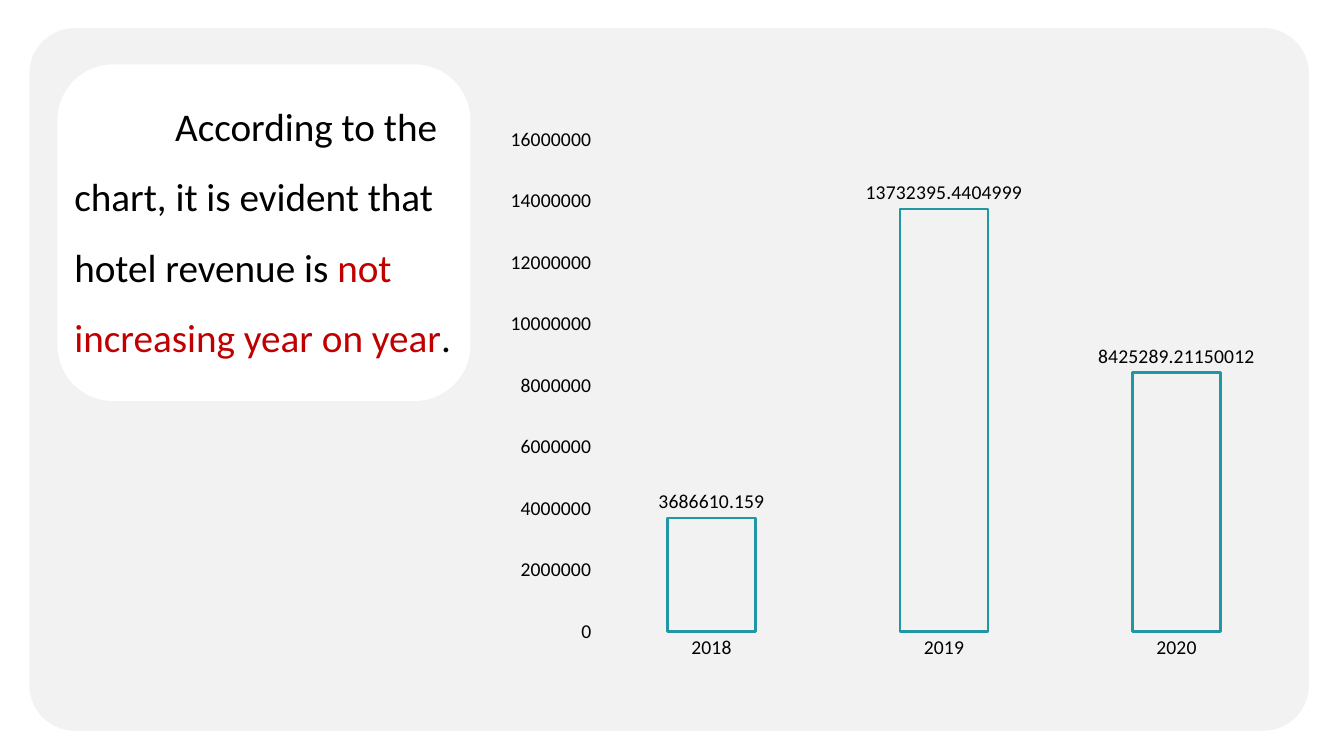
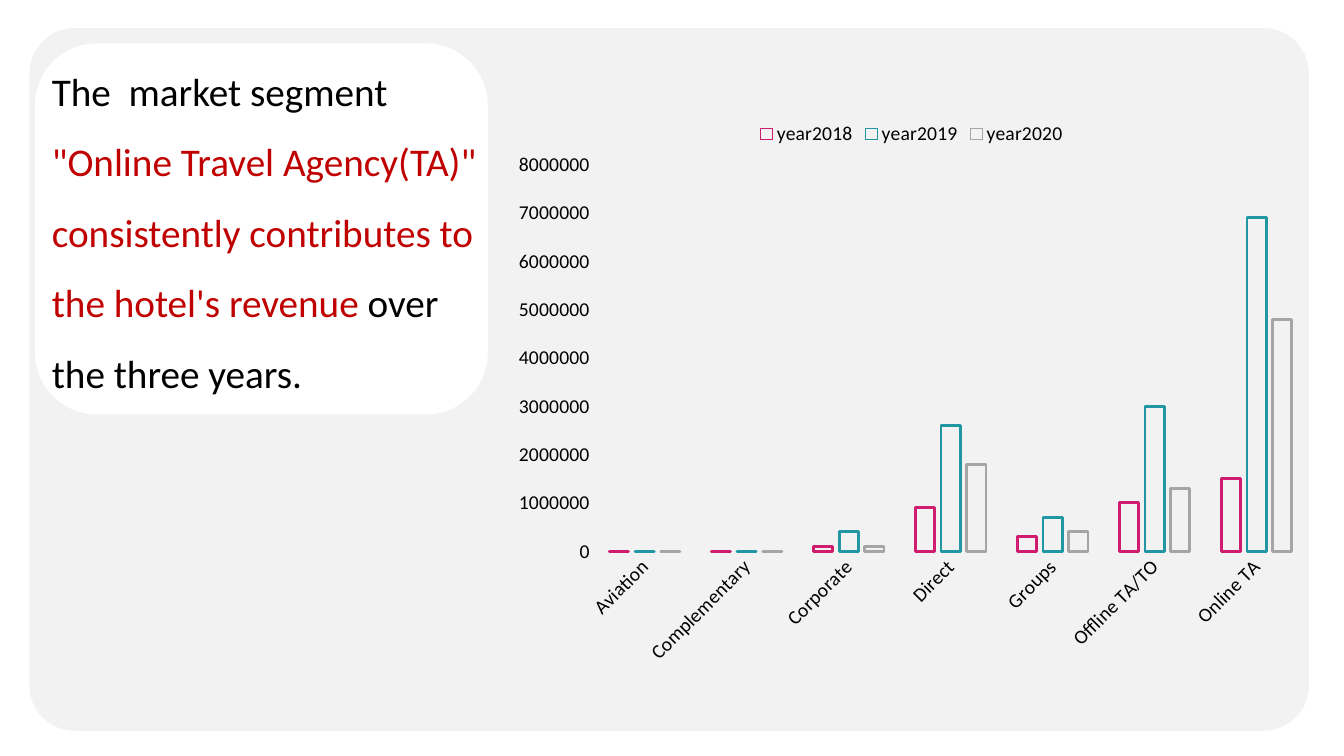
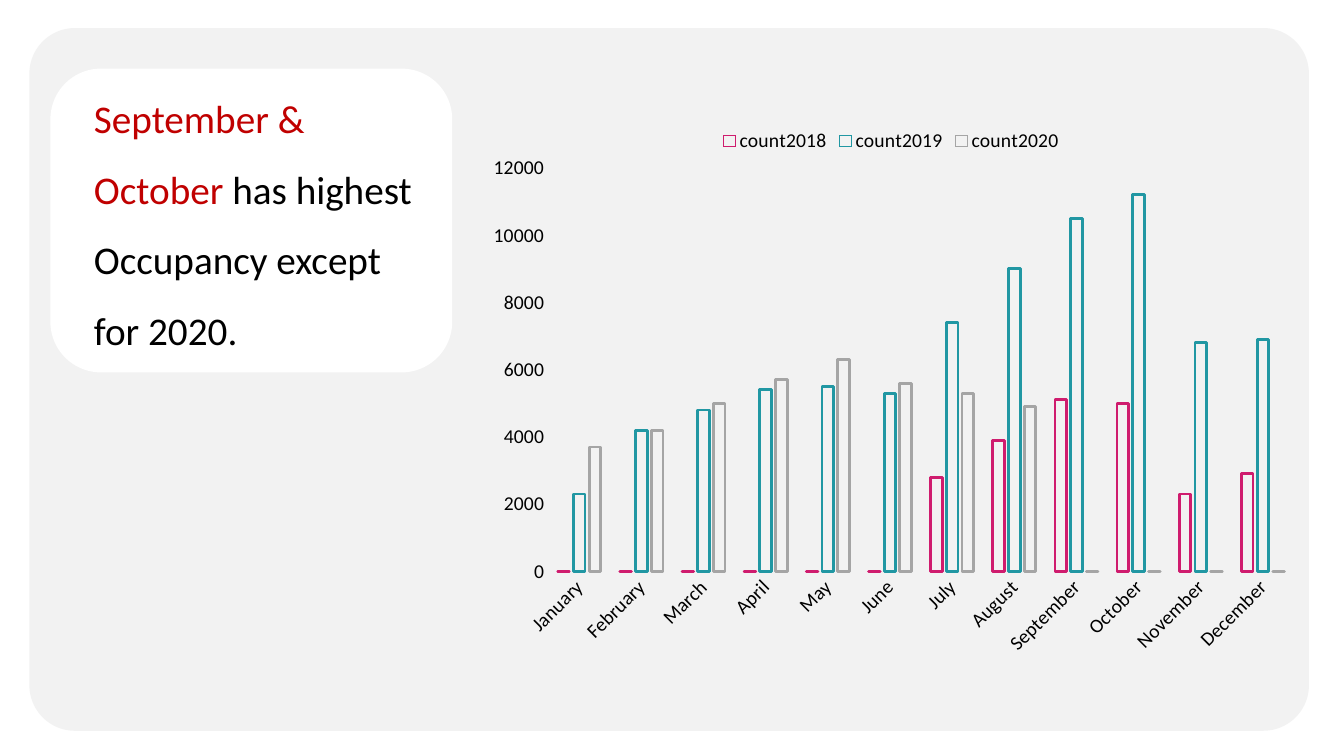
from lxml import etree
from pptx import Presentation
from pptx.chart.data import CategoryChartData
from pptx.dml.color import RGBColor
from pptx.enum.chart import XL_CHART_TYPE, XL_LABEL_POSITION, XL_LEGEND_POSITION, XL_TICK_MARK
from pptx.enum.shapes import MSO_SHAPE
from pptx.oxml.ns import qn
from pptx.util import Pt

COLUMNS = XL_CHART_TYPE.COLUMN_CLUSTERED
OUTSIDE_END = XL_LABEL_POSITION.OUTSIDE_END
LEGEND_TOP = XL_LEGEND_POSITION.TOP
NO_TICKS = XL_TICK_MARK.NONE
ROUNDED = MSO_SHAPE.ROUNDED_RECTANGLE

FONT = "Calibri"
BLACK, WHITE, PANEL, RED = "000000", "FFFFFF", "F2F2F2", "C00000"
PINK, TEAL, GREY = "CF1C6E", "2197A3", "A5A5A5"
PANEL_BOX = (21, 20, 914, 502)

MONTHS = ["January", "February", "March", "April", "May", "June", "July",
          "August", "September", "October", "November", "December"]

SLIDES = [
    {
        "card": (41, 46, 295, 240.5),
        "text": (46, 52.5, 286.5, 206),
        "indent": 72,
        "paragraphs": [[
            ("According to the chart, it is evident that hotel revenue is ", BLACK),
            ("not increasing year on year", RED),
            (".", BLACK),
        ]],
        "chart": (353, 83, 582, 396),
        "scale": (16000000, 2000000),
        "categories": ["2018", "2019", "2020"],
        "series": [("Series 1", TEAL, [3686610.159, 13732395.4404999, 8425289.21150012])],
    },
    {
        "card": (25, 31, 323.5, 265),
        "text": (30, 27.5, 323.5, 256),
        "paragraphs": [[
            ("The  market segment ", BLACK),
            ("\"Online Travel Agency(TA)\" consistently contributes to the hotel's revenue ", RED),
            ("over the three years.", BLACK),
        ]],
        "chart": (358.5, 79, 585.5, 402),
        "scale": (8000000, 1000000),
        "plot": (0.112, 0.096, 0.871, 0.687),
        "categories": ["Aviation", "Complementary", "Corporate", "Direct", "Groups",
                       "Offline TA/TO", "Online TA"],
        "series": [
            ("year2018", PINK, [0, 0, 100000, 900000, 300000, 1000000, 1500000]),
            ("year2019", TEAL, [0, 0, 400000, 2600000, 700000, 3000000, 6900000]),
            ("year2020", GREY, [0, 0, 100000, 1800000, 400000, 1300000, 4800000]),
        ],
    },
    {
        "card": (36, 49, 287, 217),
        "text": (60, 47, 247.5, 206),
        "paragraphs": [
            [("September & October ", RED), ("has highest", BLACK)],
            [("Occupancy except for 2020.", BLACK)],
        ],
        "chart": (338.5, 84, 596, 392),
        "scale": (12000, 2000),
        "plot": (0.089, 0.092, 0.894, 0.735),
        "categories": MONTHS,
        "series": [
            ("count2018", PINK, [0, 0, 0, 0, 0, 0, 2800, 3900, 5100, 5000, 2300, 2900]),
            ("count2019", TEAL, [2300, 4200, 4800, 5400, 5500, 5300, 7400, 9000,
                                 10500, 11200, 6800, 6900]),
            ("count2020", GREY, [3700, 4200, 5000, 5700, 6300, 5600, 5300, 4900, 0, 0, 0, 0]),
        ],
    },
]


def rgb(value):
    """Turn a hex string into a colour."""
    return RGBColor.from_string(value)


def points(box):
    """Turn left, top, width and height in points into lengths."""
    return [Pt(length) for length in box]


def style_font(font, size, color=BLACK):
    """Set the deck's typeface with a size and a colour."""
    font.name = FONT
    font.size = Pt(size)
    font.color.rgb = rgb(color)


def add_rounded(slide, box, color, radius=None):
    """Add a borderless rounded rectangle."""
    shape = slide.shapes.add_shape(ROUNDED, *points(box))
    shape.shadow.inherit = False
    shape.fill.solid()
    shape.fill.fore_color.rgb = rgb(color)
    shape.line.fill.background()
    if radius is not None:
        shape.adjustments[0] = radius


def add_finding(slide, card, box, paragraphs, indent=0):
    """Add the white card and the finding written on it."""
    add_rounded(slide, card, WHITE)
    frame = slide.shapes.add_textbox(*points(box)).text_frame
    frame.word_wrap = True
    for index, parts in enumerate(paragraphs):
        paragraph = frame.add_paragraph() if index else frame.paragraphs[0]
        paragraph.line_spacing = 1.5
        if indent:
            properties = paragraph._p.get_or_add_pPr()
            properties.set("marL", "0")
            properties.set("indent", str(Pt(indent)))
        paragraph.font.name = FONT
        paragraph.font.size = Pt(28)
        for text, color in parts:
            run = paragraph.add_run()
            run.text = text
            run.font.color.rgb = rgb(color)


def set_plot_area(chart, plot):
    """Fix the inner plot area as fractions of the chart."""
    area = chart.element.xpath(".//c:plotArea")[0]
    for layout in area.findall(qn("c:layout")):
        area.remove(layout)
    layout = etree.Element(qn("c:layout"))
    manual = etree.SubElement(layout, qn("c:manualLayout"))
    names = ("layoutTarget", "xMode", "yMode", "x", "y", "w", "h")
    for name, value in zip(names, ("inner", "edge", "edge", *plot)):
        etree.SubElement(manual, qn("c:" + name)).set("val", str(value))
    area.insert(0, layout)


def style_axes(chart, scale):
    """Strip both axes to their labels and set the value scale."""
    for axis in (chart.category_axis, chart.value_axis):
        axis.has_major_gridlines = False
        axis.major_tick_mark = axis.minor_tick_mark = NO_TICKS
        axis.format.line.fill.background()
        style_font(axis.tick_labels.font, 14)
    chart.value_axis.minimum_scale = 0
    chart.value_axis.maximum_scale, chart.value_axis.major_unit = scale


def add_column_chart(slide, box, categories, series, scale, plot=None):
    """Add outlined columns, labelled for one series or with a legend for several."""
    data = CategoryChartData()
    data.categories = categories
    for name, _, values in series:
        data.add_series(name, values)
    chart = slide.shapes.add_chart(COLUMNS, *points(box), data).chart
    style_font(chart.font, 10)
    chart.has_title = False
    style_axes(chart, scale)
    columns = chart.plots[0]
    columns.vary_by_categories = False
    columns.gap_width = 164
    columns.overlap = -35
    for column, (_, color, _) in zip(columns.series, series):
        column.invert_if_negative = False
        column.format.fill.background()
        column.format.line.color.rgb = rgb(color)
        column.format.line.width = Pt(2)
    chart.has_legend = len(series) > 1
    if chart.has_legend:
        chart.legend.position = LEGEND_TOP
        chart.legend.include_in_layout = False
        style_font(chart.legend.font, 14)
        chart.element.xpath(".//c:catAx/c:txPr/a:bodyPr")[0].set("rot", "-2700000")
    else:
        labels = columns.series[0].data_labels
        labels.show_value = True
        labels.position = OUTSIDE_END
        style_font(labels.font, 14)
    if plot:
        set_plot_area(chart, plot)


def add_finding_slide(presentation, content):
    """Add one slide with a panel, a chart and a finding."""
    slide = presentation.slides.add_slide(presentation.slide_layouts[6])
    add_rounded(slide, PANEL_BOX, PANEL, 0.065)
    add_column_chart(slide, content["chart"], content["categories"], content["series"],
                     content["scale"], content.get("plot"))
    add_finding(slide, content["card"], content["text"], content["paragraphs"],
                content.get("indent", 0))


def main():
    """Build and save the presentation."""
    presentation = Presentation()
    presentation.slide_width, presentation.slide_height = Pt(960), Pt(540)
    for content in SLIDES:
        add_finding_slide(presentation, content)
    presentation.save("out.pptx")


if __name__ == "__main__":
    main()
